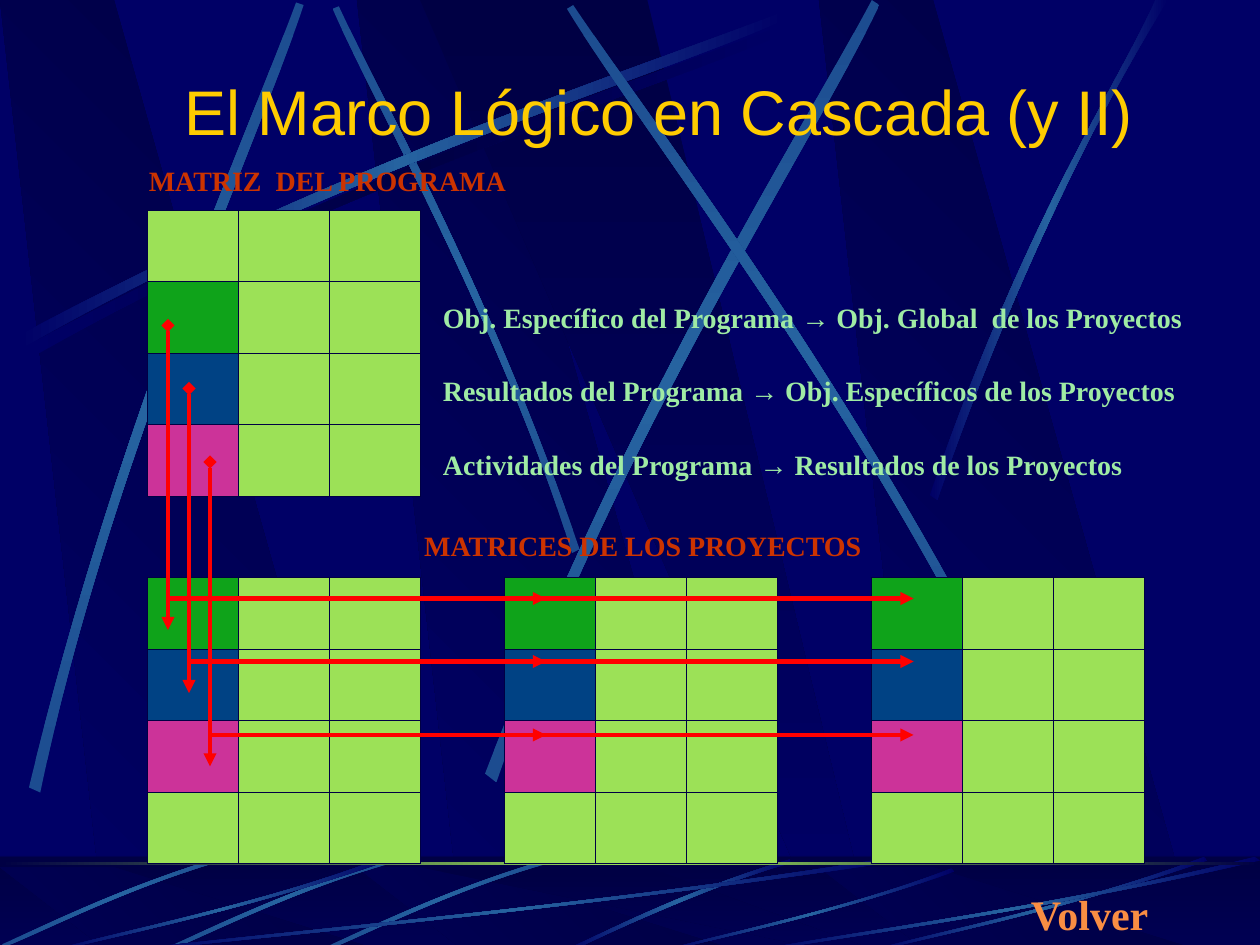
from copy import deepcopy

from lxml.etree import SubElement
from pptx import Presentation
from pptx.dml.color import RGBColor
from pptx.enum.shapes import MSO_CONNECTOR, MSO_SHAPE
from pptx.enum.text import PP_ALIGN
from pptx.oxml.ns import qn
from pptx.util import Inches, Pt

NAVY = RGBColor(0x00, 0x00, 0x66)
DARK = RGBColor(0x00, 0x00, 0x44)
STEEL = RGBColor(0x26, 0x63, 0xA0)
DIM_STEEL = RGBColor(0x1C, 0x4C, 0x90)
LIME = RGBColor(0x9C, 0xE1, 0x57)
GREEN = RGBColor(0x0F, 0xA3, 0x1A)
BLUE = RGBColor(0x00, 0x42, 0x84)
MAGENTA = RGBColor(0xCC, 0x33, 0x99)
GOLD = RGBColor(0xFF, 0xCC, 0x00)
RUST = RGBColor(0xCC, 0x33, 0x00)
MINT = RGBColor(0x9F, 0xEB, 0xA4)
ORANGE = RGBColor(0xF9, 0x8D, 0x43)
RED = RGBColor(0xFF, 0x00, 0x00)

COLUMNS, ROWS = 120, 90
presentation = Presentation()
presentation.slide_width = Inches(10)
presentation.slide_height = Inches(7.5)
column = presentation.slide_width // COLUMNS
row = presentation.slide_height // ROWS
slide = presentation.slides.add_slide(presentation.slide_layouts[6])
shapes = slide.shapes
slide.background.fill.solid()
slide.background.fill.fore_color.rgb = NAVY


def paint(shape, colours, angle):
    shape.shadow.inherit = False
    shape.line.fill.background()
    shape.fill.gradient()
    shape.fill.gradient_angle = (360 - angle) % 360
    stop_list = shape._element.spPr.find(qn("a:gradFill")).find(qn("a:gsLst"))
    for _ in colours[2:]:
        stop_list.append(deepcopy(stop_list[0]))
    for index, (stop, colour) in enumerate(zip(shape.fill.gradient_stops, colours)):
        stop.position = index / (len(colours) - 1)
        stop.color.rgb = colour


def draw_outline(points, box, colours, angle):
    left, top, width, height = box
    corners = [(round((left + x * width) * column), round((top + y * height) * row)) for x, y in points]
    builder = shapes.build_freeform(*corners[0], scale=1.0)
    builder.add_line_segments(corners[1:], close=True)
    shape = builder.convert_to_shape()
    if len(points) == 8:
        segments = list(shape._element.spPr.iter(qn("a:lnTo")))
        for first in (0, 4):
            curve = segments[first]
            curve.tag = qn("a:cubicBezTo")
            for segment in segments[first + 1:first + 3]:
                curve.append(segment[0])
                segment.getparent().remove(segment)
    paint(shape, colours, angle)


SHADE = (DARK, NAVY)
GLOW = (NAVY, STEEL, NAVY)
BRIGHT = (DIM_STEEL, STEEL, DIM_STEEL)
INCH_BOX = (0, 0, 12, 12)
SLANTED_BAND = [(0.28, 1), (1, 1), (0.3, 0), (0, 0)]
WIDE_BAND = [(0, 0), (0.9, 1), (1, 1), (0.5, 0)]
RIBBON = [(1, 0.04), (0.57, 0.57), (0.17, 0.85), (0.01, 1), (0, 0.99), (0.17, 0.81), (0.62, 0.51), (0.99, 0)]
SHORT_RIBBON = [(0.99, 0), (0.53, 0.33), (0.16, 0.8), (0, 0.97), (0.01, 1), (0.17, 0.84), (0.58, 0.31), (1, 0.04)]
SWEEP = [(0.2, 2.75), (2.84, 1.34), (5.24, 0.59), (6.26, 0.18),
         (6.29, 0.24), (5.28, 0.69), (2.54, 1.51), (0.23, 2.85)]
TALL_STRIPES = [
    [(4.6, 4.36), (3.91, 2.34), (3.02, 0.77), (2.69, 0.05),
     (2.64, 0.07), (2.95, 0.79), (3.98, 2.58), (4.54, 4.39)],
    [(0.23, 6.25), (0.93, 3.34), (1.97, 1.05), (2.35, 0.02),
     (2.41, 0.04), (2.07, 1.08), (0.86, 3.68), (0.32, 6.29)],
    [(3.85, 6.14), (4.98, 3.2), (6.38, 1.02), (6.92, 0),
     (6.98, 0.04), (6.49, 1.08), (4.86, 3.55), (3.94, 6.21)],
    [(8.06, 5.6), (6.7, 2.93), (5.16, 0.95), (4.55, 0.04),
     (4.5, 0.07), (5.07, 1.01), (6.85, 3.25), (7.99, 5.66)],
]
FADING_STRIPE = [(7.38, 3.93), (8.14, 1.73), (8.88, 0.66), (9.17, 0),
                 (9.27, 0), (8.36, 1.45), (7.69, 3.22), (7.44, 3.97)]
FLOOR_STRIPE = [(6.27, 6.82), (5.37, 7.09), (4.77, 7.42), (4.48, 7.54),
                (4.53, 7.55), (4.9, 7.37), (5.71, 7), (6.28, 6.85)]

for top, height in ((0, 90), (82.6, 7.9)):
    if top:
        floor = shapes.add_shape(MSO_SHAPE.RECTANGLE, 0, round(81.6 * row), COLUMNS * column, 9 * row)
        paint(floor, SHADE, 90)
    for left in (34, 0, 78):
        draw_outline(SLANTED_BAND, (left, top, 36.2, height), SHADE, 135)
    draw_outline(WIDE_BAND, (40, top, 43.3, height), SHADE, 90)
    if not top:
        draw_outline(SWEEP, INCH_BOX, (NAVY, DARK, NAVY), 0)
        draw_outline(TALL_STRIPES[0], INCH_BOX, BRIGHT, 90)
        draw_outline(SWEEP, (-0.7, -1, 12, 12), GLOW, 0)
        for stripe in TALL_STRIPES[1:]:
            draw_outline(stripe, INCH_BOX, BRIGHT, 90)
        draw_outline(FADING_STRIPE, INCH_BOX, GLOW, 0)

veil = shapes.add_shape(MSO_SHAPE.RECTANGLE, 0, round(81.5 * row), COLUMNS * column, 9 * row)
veil.shadow.inherit = False
veil.line.fill.background()
veil.fill.solid()
veil.fill.fore_color.rgb = DARK
veil_colour = veil._element.spPr.find(qn("a:solidFill"))[0]
SubElement(veil_colour, qn("a:alpha"), val="50000")

draw_outline(FLOOR_STRIPE, INCH_BOX, GLOW, 0)
for left, top in ((30.7, 81.6), (15.7, 81.6), (0.2, 81.2)):
    draw_outline(SHORT_RIBBON, (left, top, 22.5, 9), BRIGHT, 0)
for left, top, width in ((12, 81.6, 74), (5, 81.6, 32), (63.2, 82.7, 27.7), (83, 81.6, 32), (72, 81.6, 48)):
    draw_outline(RIBBON, (left, top, width, 90.6 - top), GLOW, 0)
horizon = shapes.add_shape(MSO_SHAPE.RECTANGLE, 0, round(82.1 * row), COLUMNS * column, round(0.25 * row))
paint(horizon, (DARK, LIME, DARK), 0)

CELL_WIDTH, CELL_HEIGHT = 8.67, 6.82
levels = [GREEN, BLUE, MAGENTA]
matrices = [(14, 20, [LIME] + levels)] + [(left, 55, levels + [LIME]) for left in (83, 48, 14)]
for left, top, first_column in matrices:
    frame = shapes.add_table(4, 3, left * column, top * row,
                             round(3 * CELL_WIDTH * column), round(4 * CELL_HEIGHT * row))
    table = frame.table
    for table_column in table.columns:
        table_column.width = round(CELL_WIDTH * column)
    for row_index, table_row in enumerate(table.rows):
        table_row.height = round(CELL_HEIGHT * row)
        for column_index, cell in enumerate(table_row.cells):
            properties = cell._tc.get_or_add_tcPr()
            for side in ("a:lnL", "a:lnR", "a:lnT", "a:lnB"):
                border = SubElement(properties, qn(side), w=str(Pt(0.45)))
                border_fill = SubElement(border, qn("a:solidFill"))
                SubElement(border_fill, qn("a:srgbClr"), val=str(DARK))
            cell.fill.solid()
            cell.fill.fore_color.rgb = LIME if column_index else first_column[row_index]

title = [("El Marco Lógico en Cascada (y II)", "Arial")]
texts = [
    (12.75, 6.28, 100, 8.4, 36, GOLD, title),
    (13, 15, 37.6, 4.4, 16, RUST, [("MATRIZ  DEL PROGRAMA", "Times New Roman")]),
    (39.22, 49.7, 48.2, 4.4, 16, RUST, [("MATRICES DE LOS PROYECTOS", "Times New Roman")]),
    (97, 84, 15, 6, 24, ORANGE, [("Volver", "Times New Roman")]),
]
cascade = [
    ("Obj. Específico del Programa ", " Obj. Global  de los Proyectos"),
    ("Resultados del Programa ", " Obj. Específicos de los Proyectos"),
    ("Actividades del Programa ", " Resultados de los Proyectos"),
]
for index, (source, target) in enumerate(cascade):
    runs = [(source, "Times New Roman"), ("→", "Arial"), (target, "Times New Roman")]
    texts.append((41, 28 + 7 * index, 76, 4.4, 16, MINT, runs))
for left, top, width, height, size, colour, runs in texts:
    box = shapes.add_textbox(round(left * column), round(top * row), round(width * column), round(height * row))
    box.text_frame.word_wrap = True
    paragraph = box.text_frame.paragraphs[0]
    paragraph.font.size = Pt(size)
    paragraph.font.color.rgb = colour
    paragraph.font.bold = runs is not title
    paragraph.alignment = PP_ALIGN.CENTER if runs is title else PP_ALIGN.LEFT
    for text, font_name in runs:
        run = paragraph.add_run()
        run.text = text
        run.font.name = font_name

arrows = []
for x, start, branch in ((16, 31, 57), (18, 37, 63), (20, 44, 70)):
    arrows += [(x, start, x, start + 29, "diamond"), (x, branch, 52, branch, None), (51, branch, 87, branch, None)]
for start_x, start_y, end_x, end_y, head in arrows:
    connector = shapes.add_connector(MSO_CONNECTOR.STRAIGHT, start_x * column, start_y * row,
                                     end_x * column, end_y * row)
    connector.line.color.rgb = RED
    connector.line.width = Pt(2.5)
    properties = connector._element.spPr
    line = properties.find(qn("a:ln"))
    if head:
        SubElement(line, qn("a:headEnd"), type=head)
    SubElement(line, qn("a:tailEnd"), type="triangle")
    SubElement(properties, qn("a:effectLst"))

presentation.save("out.pptx")
